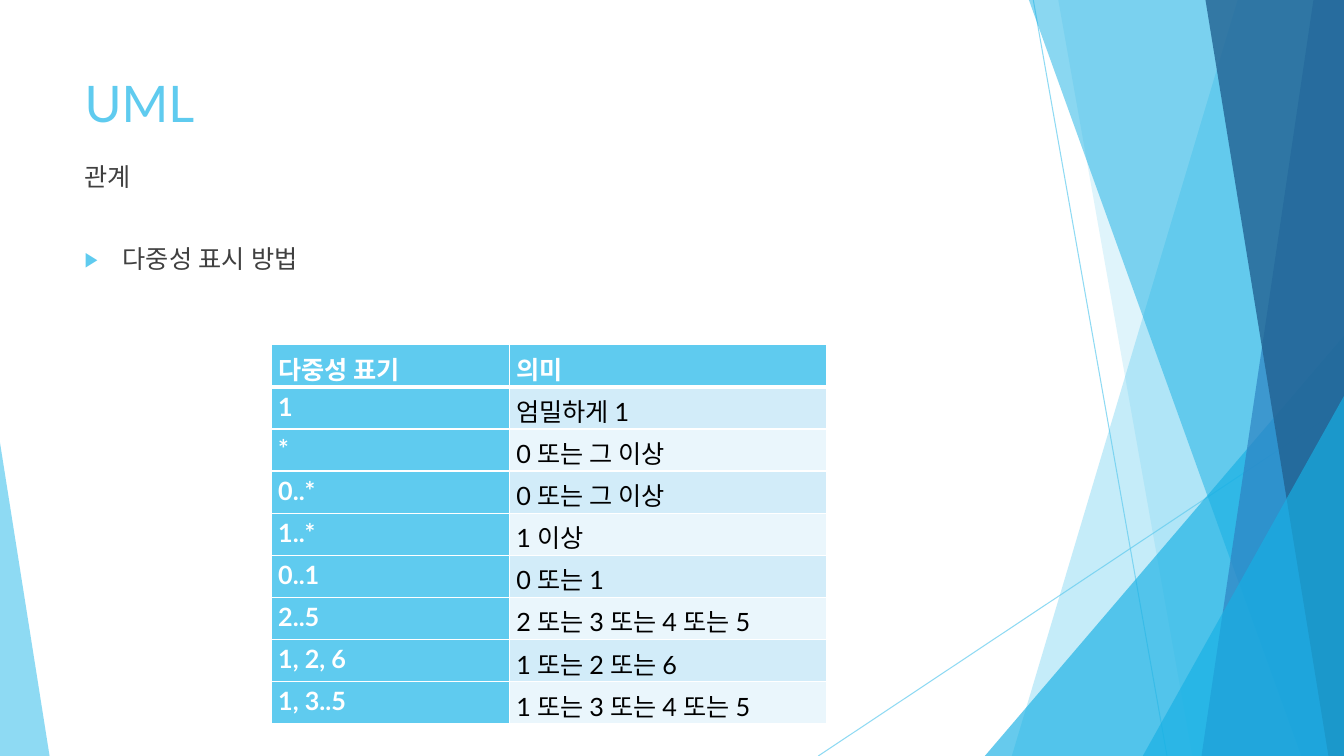
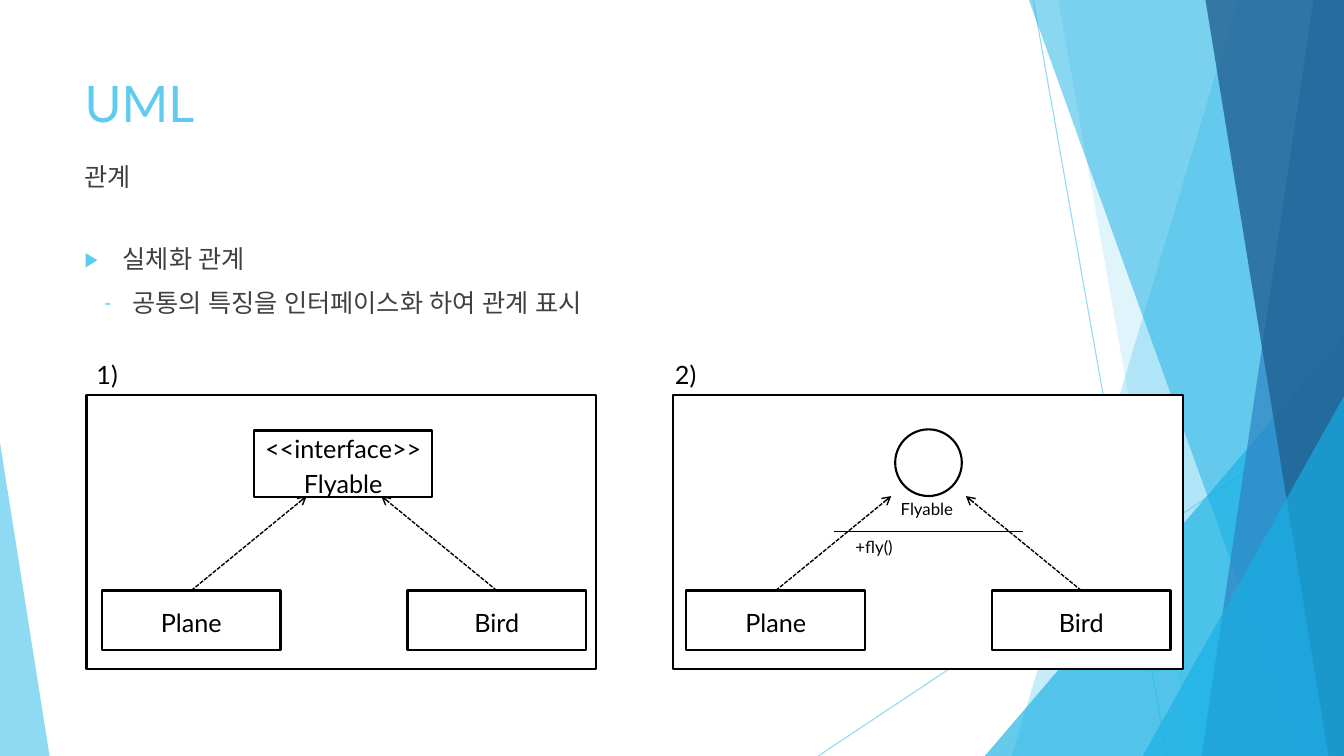
from dataclasses import dataclass

from lxml import etree
from pptx import Presentation
from pptx.dml.color import RGBColor
from pptx.enum.dml import MSO_LINE
from pptx.enum.shapes import MSO_CONNECTOR, MSO_SHAPE
from pptx.enum.text import MSO_ANCHOR, MSO_AUTO_SIZE, PP_ALIGN
from pptx.oxml.ns import qn
from pptx.util import Cm, Pt

STRAIGHT = MSO_CONNECTOR.STRAIGHT
DASH = MSO_LINE.SQUARE_DOT
RECTANGLE, OVAL, TRIANGLE = MSO_SHAPE.RECTANGLE, MSO_SHAPE.OVAL, MSO_SHAPE.ISOSCELES_TRIANGLE
TOP, MIDDLE = MSO_ANCHOR.TOP, MSO_ANCHOR.MIDDLE
LEFT, CENTER, JUSTIFY = PP_ALIGN.LEFT, PP_ALIGN.CENTER, PP_ALIGN.JUSTIFY
NO_AUTOFIT = MSO_AUTO_SIZE.NONE

SKY = RGBColor(0x5F, 0xCB, 0xEF)
CYAN = RGBColor(0x17, 0xB0, 0xE4)
BLUE = RGBColor(0x2E, 0x83, 0xC3)
NAVY = RGBColor(0x22, 0x62, 0x92)
GREY = RGBColor(0x40, 0x40, 0x40)
BLACK = RGBColor(0, 0, 0)
WHITE = RGBColor(0xFF, 0xFF, 0xFF)
ROW_TINTS = (RGBColor(0xD2, 0xEC, 0xF9), RGBColor(0xEA, 0xF6, 0xFC))

FONT = "Lato"
WIDTH, HEIGHT = 33.87, 19.05
TEXT_LEFT, TEXT_WIDTH = 1.88, 23.88
FRAME_TOP = 9.96
CLASS_TOP, CLASS_WIDTH, CLASS_HEIGHT = 14.88, 4.5, 1.5
BIRD_OFFSET = 7.7
ARROW_TIP_TOP = 12.5


@dataclass(frozen=True)
class Ray:
    start: tuple[float, float]
    end: tuple[float, float]


@dataclass(frozen=True)
class Band:
    """A band that runs from its slanted left edge to the right side."""
    top_left: float
    bottom_left: float
    colour: RGBColor
    opacity: int


@dataclass(frozen=True)
class Corner:
    """A right triangle on the bottom edge; peak 0 is left, 1 is right."""
    left: float
    top: float
    width: float
    peak: int
    colour: RGBColor
    opacity: int


@dataclass(frozen=True)
class Bullet:
    text: str
    mark: str
    margin: float
    hanging: float


@dataclass(frozen=True)
class Diagram:
    label: str
    label_left: float
    frame_left: float
    plane_left: float


RAYS = (
    Ray((26.04, 0), (29.41, HEIGHT)),
    Ray((WIDTH, 10.24), (20.62, HEIGHT)),
)
FACETS = (
    Band(31.19, 25.5, SKY, 36),
    Band(26.67, 30.05, SKY, 20),
    Corner(24.82, 8.46, 9.05, 1, CYAN, 66),
    Band(25.93, 32.79, CYAN, 50),
    Band(33.1, 30.28, BLUE, 70),
    Band(30.38, 33.48, NAVY, 80),
    Corner(28.8, 9.98, 5.07, 1, CYAN, 66),
    Corner(0, 11.15, 1.25, 0, SKY, 70),
)
MULTIPLICITIES = (
    ("다중성 표기", "의미"),
    ("1", "엄밀하게 1"),
    ("*", "0 또는 그 이상"),
    ("0..*", "0 또는 그 이상"),
    ("1..*", "1 이상"),
    ("0..1", "0 또는 1"),
    ("2..5", "2 또는 3 또는 4 또는 5"),
    ("1, 2, 6", "1 또는 2 또는 6"),
    ("1, 3..5", "1 또는 3 또는 4 또는 5"),
)
INTERFACE_BOX = Diagram("1)", 2.18, 2.18, 2.57)
INTERFACE_CIRCLE = Diagram("2)", 16.76, 16.97, 17.3)


def set_values(target, values: dict) -> None:
    for name, value in values.items():
        setattr(target, name, value)


def place(box, left: float, top: float, width: float, height: float) -> None:
    names = ("left", "top", "width", "height")
    set_values(box, dict(zip(names, map(Cm, (left, top, width, height)))))


def write(para, text: str, colour: RGBColor, size: int = 18, bold: bool = False,
          east_asian: bool = True, **layout) -> None:
    """Fill a paragraph; east_asian gives Korean text the main font's line height."""
    para.text = text
    set_values(para, layout)
    for span in para.runs:
        set_values(span.font, {"name": FONT, "size": Pt(size), "bold": bold})
        span.font.color.rgb = colour
        if east_asian:
            latin = span.font._element.find(qn("a:latin"))
            latin.addnext(latin.makeelement(qn("a:ea"), {"typeface": FONT}))


def set_opacity(shape, percent: int) -> None:
    for colour in shape.element.iter(qn("a:srgbClr")):
        etree.SubElement(colour, qn("a:alpha"), val=str(percent * 1000))


def add_line(shapes, start: tuple[float, float], end: tuple[float, float],
             colour: RGBColor, weight: float):
    line = shapes.add_connector(STRAIGHT, *map(Cm, (*start, *end)))
    line.line.color.rgb = colour
    line.line.width = Pt(weight)
    etree.SubElement(line.element.spPr, qn("a:effectLst"))
    return line


def add_facet(shapes, facet: Band | Corner) -> None:
    if isinstance(facet, Band):
        builder = shapes.build_freeform(Cm(facet.top_left), 0)
        corners = ((WIDTH, 0), (WIDTH, HEIGHT), (facet.bottom_left, HEIGHT))
        builder.add_line_segments([(Cm(x), Cm(y)) for x, y in corners], close=True)
        shape = builder.convert_to_shape()
    else:
        shape = shapes.add_shape(TRIANGLE, Cm(facet.left), Cm(facet.top),
                                 Cm(facet.width), Cm(HEIGHT - facet.top))
        shape.adjustments[0] = facet.peak
    shape.shadow.inherit = False
    shape.fill.solid()
    shape.fill.fore_color.rgb = facet.colour
    shape.line.fill.background()
    set_opacity(shape, facet.opacity)


def move_backdrop_to_master(deck, page) -> None:
    """Draw the facets on a page, then hand the group to the slide master."""
    backdrop = page.shapes.add_group_shape()
    for ray in RAYS:
        set_opacity(add_line(backdrop.shapes, ray.start, ray.end, SKY, 0.75), 70)
    for facet in FACETS:
        add_facet(backdrop.shapes, facet)
    deck.slide_master.shapes.element.insert(2, backdrop.element)


def add_bullet(para, bullet: Bullet) -> None:
    props = para._p.get_or_add_pPr()
    props.set("marL", str(Cm(bullet.margin)))
    props.set("indent", str(-Cm(bullet.hanging)))
    colour = etree.SubElement(props, qn("a:buClr"))
    etree.SubElement(colour, qn("a:srgbClr"), val=str(SKY))
    etree.SubElement(props, qn("a:buSzPct"), val="80000")
    etree.SubElement(props, qn("a:buFont"), typeface=FONT)
    etree.SubElement(props, qn("a:buChar"), char=bullet.mark)


def add_page(deck, bullets: list[Bullet]):
    page = deck.slides.add_slide(deck.slide_layouts[1])
    title, body = page.placeholders
    subtitle = page.shapes.add_textbox(0, 0, 0, 0)
    for box, top, height in ((title, 1.7, 1.93), (body, 6, 2.4), (subtitle, 3.94, 1.73)):
        place(box, TEXT_LEFT, top, TEXT_WIDTH, height)
        set_values(box.text_frame, {"word_wrap": True, "auto_size": NO_AUTOFIT,
                                    "vertical_anchor": TOP})
    write(title.text_frame.paragraphs[0], "UML", SKY, 36, alignment=LEFT)
    write(subtitle.text_frame.paragraphs[0], "관계", GREY)
    for index, bullet in enumerate(bullets):
        frame = body.text_frame
        para = frame.add_paragraph() if index else frame.paragraphs[0]
        add_bullet(para, bullet)
        write(para, bullet.text, GREY, space_before=Pt(10 if index else 0))
    return page


def set_borders(cell, bottom_weight: float, top_weight: float) -> None:
    props = cell._tc.get_or_add_tcPr()
    weights = {"lnL": 1, "lnR": 1, "lnT": top_weight, "lnB": bottom_weight}
    for index, (side, weight) in enumerate(weights.items()):
        border = props.makeelement(qn(f"a:{side}"), {"w": str(Pt(weight))})
        fill = etree.SubElement(border, qn("a:solidFill"))
        etree.SubElement(fill, qn("a:srgbClr"), val=str(WHITE))
        props.insert(index, border)


def add_multiplicity_table(page) -> None:
    row_height = Cm(1.06)
    row_count = len(MULTIPLICITIES)
    table = page.shapes.add_table(row_count, 2, Cm(6.83), Cm(8.69),
                                  Cm(14), row_height * row_count).table
    table.horz_banding = False
    for column, width in zip(table.columns, (6, 8)):
        column.width = Cm(width)
    for row, texts in enumerate(MULTIPLICITIES):
        table.rows[row].height = row_height
        for column, text in enumerate(texts):
            cell = table.cell(row, column)
            heading = row == 0 or column == 0
            set_values(cell, {"margin_left": Cm(0.18), "margin_right": Cm(0.18),
                              "margin_top": 0, "margin_bottom": 0})
            cell.fill.solid()
            cell.fill.fore_color.rgb = SKY if heading else ROW_TINTS[(row - 1) % 2]
            set_borders(cell, 3 if row == 0 else 1, 3 if row == 1 else 1)
            write(cell.text_frame.paragraphs[0], text, WHITE if heading else BLACK,
                  bold=heading, east_asian=False, alignment=JUSTIFY, line_spacing=1.15)


def add_outlined(page, kind, left: float, top: float, width: float, height: float,
                 text: str = ""):
    shape = page.shapes.add_shape(kind, *map(Cm, (left, top, width, height)))
    shape.shadow.inherit = False
    shape.fill.solid()
    shape.fill.fore_color.rgb = WHITE
    shape.line.color.rgb = BLACK
    shape.line.width = Pt(1.5)
    if text:
        shape.text_frame.vertical_anchor = MIDDLE
        write(shape.text_frame.paragraphs[0], text, BLACK,
              alignment=CENTER, line_spacing=1.15)
    return shape


def add_label(page, text: str, left: float, top: float, width: float,
              height: float, size: int) -> None:
    box = page.shapes.add_textbox(*map(Cm, (left, top, width, height)))
    box.text_frame.word_wrap = False
    write(box.text_frame.paragraphs[0], text, BLACK, size)


def add_diagram(page, diagram: Diagram) -> None:
    """Draw the frame, the two classes and their dashed realization arrows."""
    add_label(page, diagram.label, diagram.label_left, 8.94, 1.09, 1.02, 18)
    add_outlined(page, RECTANGLE, diagram.frame_left, FRAME_TOP, 12.85, 6.91)
    for name, offset, tip in (("Plane", 0, 5.16), ("Bird", BIRD_OFFSET, 7.04)):
        left = diagram.plane_left + offset
        box = add_outlined(page, RECTANGLE, left, CLASS_TOP, CLASS_WIDTH, CLASS_HEIGHT, name)
        arrow = add_line(page.shapes, (left + CLASS_WIDTH / 2, CLASS_TOP),
                         (diagram.plane_left + tip, ARROW_TIP_TOP), BLACK, 1)
        arrow.begin_connect(box, 0)
        arrow.line.dash_style = DASH
        etree.SubElement(arrow.line._get_or_add_ln(), qn("a:tailEnd"), type="arrow")


def main() -> None:
    deck = Presentation()
    deck.slide_width, deck.slide_height = Cm(WIDTH), Cm(HEIGHT)

    page = add_page(deck, [Bullet("다중성 표시 방법", "▶", 0.96, 0.96)])
    move_backdrop_to_master(deck, page)
    add_multiplicity_table(page)

    page = add_page(deck, [
        Bullet("실체화 관계", "▶", 0.96, 0.96),
        Bullet("공통의 특징을 인터페이스화 하여 관계 표시", "-", 1.2, 0.71),
    ])
    add_diagram(page, INTERFACE_BOX)
    add_outlined(page, RECTANGLE, 6.4, 10.85, CLASS_WIDTH, 1.68, "<<interface>>\nFlyable")
    add_diagram(page, INTERFACE_CIRCLE)
    add_line(page.shapes, (25.78, 13.39), (21.01, 13.39), BLACK, 1)
    add_label(page, "+fly()", 21.31, 13.39, 1.55, 0.76, 12)
    add_label(page, "Flyable", 22.45, 12.45, 1.88, 0.76, 12)
    add_outlined(page, OVAL, 22.56, 10.82, 1.68, 1.68)

    deck.save("out.pptx")


if __name__ == "__main__":
    main()
